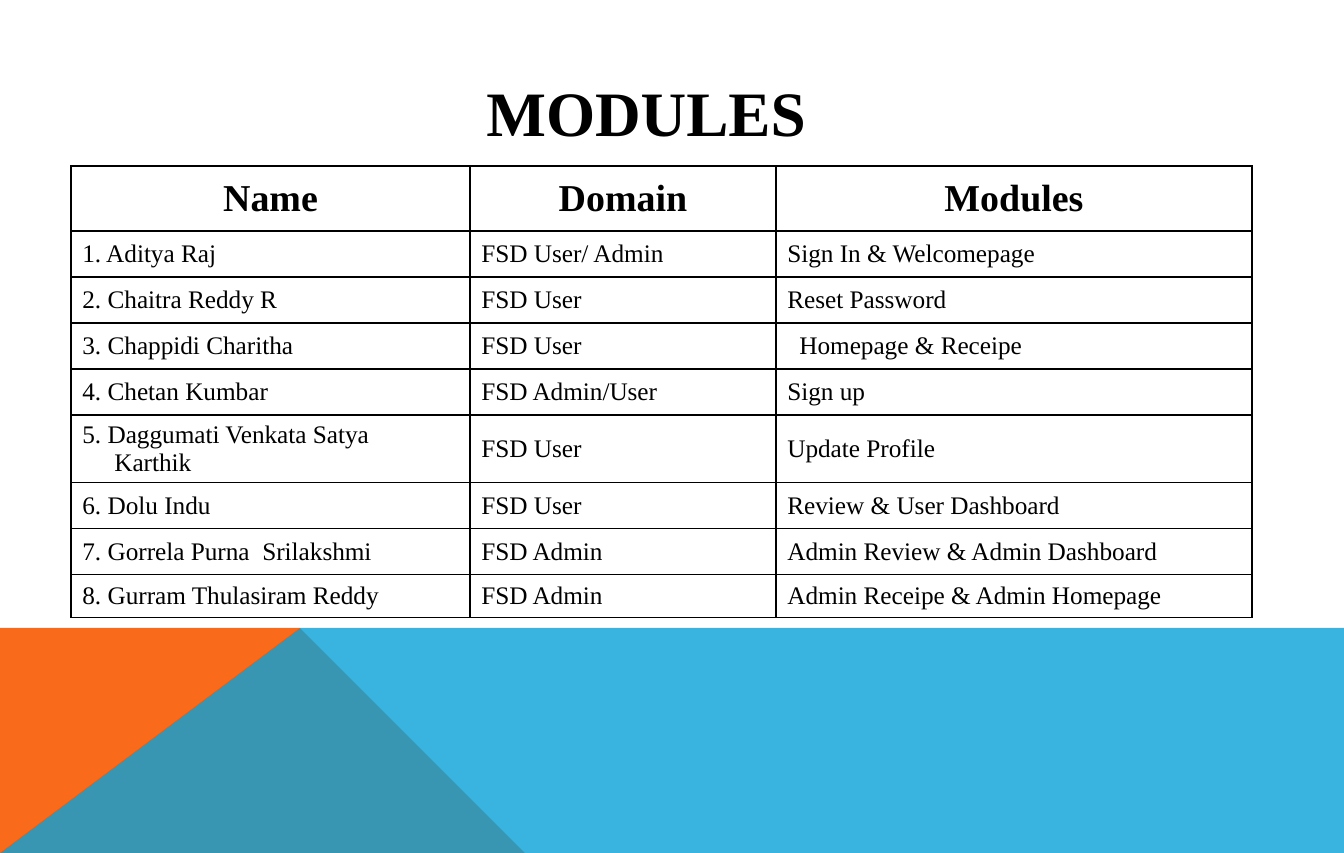
from pptx import Presentation
from pptx.dml.color import RGBColor
from pptx.enum.text import MSO_ANCHOR, MSO_AUTO_SIZE, PP_ALIGN
from pptx.oxml import parse_xml
from pptx.oxml.ns import nsdecls
from pptx.util import Emu, Pt

SCALE = 8035
HEADERS = ["Name", "Domain", "Modules"]
MEMBERS = [
    ("1. Aditya Raj", "FSD User/ Admin", "Sign In & Welcomepage"),
    ("2. Chaitra Reddy R", "FSD User", "Reset Password"),
    ("3. Chappidi Charitha", "FSD User", "Homepage & Receipe"),
    ("4. Chetan Kumbar", "FSD Admin/User", "Sign up"),
    ("5. Daggumati Venkata Satya\nKarthik", "FSD User", "Update Profile"),
    ("6. Dolu Indu", "FSD User", "Review & User Dashboard"),
    ("7. Gorrela Purna  Srilakshmi", "FSD Admin", "Admin Review & Admin Dashboard"),
    ("8. Gurram Thulasiram Reddy", "FSD Admin", "Admin Receipe & Admin Homepage"),
]
INDENTS = {"Karthik": 32, "Homepage & Receipe": 12}
COL_WIDTHS = [399, 306, 476]
ROW_HEIGHTS = [65, 46, 46, 46, 46, 68, 46, 46, 43]


def px(n):
    return Emu(n * SCALE)


def rgb(color):
    return RGBColor.from_string(color)


class Deck:
    font = "Times New Roman"
    ink = "000000"
    paper = "FFFFFF"

    def __init__(self, width, height):
        self.prs = Presentation()
        self.prs.slide_width, self.prs.slide_height = px(width), px(height)
        self.slide = self.prs.slides.add_slide(self.prs.slide_layouts[5])

    def run(self, p, text, size, bold=False):
        r = p.add_run()
        r.text = text
        r.font.name = self.font
        r.font.size = Pt(size)
        r.font.bold = bold
        r.font.color.rgb = rgb(self.ink)

    def title(self, text, x, y, w, h):
        sp = self.slide.shapes.title
        sp.left, sp.top, sp.width, sp.height = map(px, (x, y, w, h))
        tf = sp.text_frame
        tf.word_wrap = False
        tf.auto_size = MSO_AUTO_SIZE.NONE
        tf.vertical_anchor = MSO_ANCHOR.TOP
        p = tf.paragraphs[0]
        p.alignment = PP_ALIGN.LEFT
        self.run(p, text, 40, True)

    def polygon(self, points, color, alpha=100):
        builder = self.slide.shapes.build_freeform(*points[0], scale=SCALE)
        builder.add_line_segments(points[1:], close=True)
        sp = builder.convert_to_shape()
        sp.shadow.inherit = False
        sp.line.fill.background()
        sp.fill.solid()
        sp.fill.fore_color.rgb = rgb(color)
        if alpha < 100:
            clr = sp._element.spPr.xpath("./a:solidFill/a:srgbClr")[0]
            clr.append(parse_xml(f'<a:alpha {nsdecls("a")} val="{alpha * 1000}"/>'))

    def borders(self, cell, top, bottom):
        tcPr = cell._tc.get_or_add_tcPr()
        for side, width in (("L", 1), ("R", 1), ("T", top), ("B", bottom)):
            tcPr.append(parse_xml(
                f'<a:ln{side} {nsdecls("a")} w="{Pt(width)}"><a:solidFill>'
                f'<a:srgbClr val="{self.ink}"/></a:solidFill></a:ln{side}>'))

    def cell(self, cell, text, row):
        header = row == 0
        self.borders(cell, 2 if row == 1 else 1, 2 if header else 1)
        cell.fill.solid()
        cell.fill.fore_color.rgb = rgb(self.paper)
        cell.vertical_anchor = MSO_ANCHOR.MIDDLE
        tf = cell.text_frame
        for i, line in enumerate(text.split("\n")):
            p = tf.add_paragraph() if i else tf.paragraphs[0]
            p.alignment = PP_ALIGN.CENTER if header else PP_ALIGN.LEFT
            if line in INDENTS:
                p._p.get_or_add_pPr().set("marL", str(px(INDENTS[line])))
            self.run(p, line, 24 if header else 16, header)

    def table(self, rows, x, y, widths, heights):
        table = self.slide.shapes.add_table(
            len(rows), len(widths), px(x), px(y), px(sum(widths)), px(sum(heights))).table
        for col, width in zip(table.columns, widths):
            col.width = px(width)
        for row, height in zip(table.rows, heights):
            row.height = px(height)
        for i, texts in enumerate(rows):
            for j, text in enumerate(texts):
                self.cell(table.cell(i, j), text, i)


def main():
    deck = Deck(1344, 853)
    deck.polygon([(0, 853), (0, 628), (300, 628), (525, 853)], "F96A1B")
    deck.polygon([(0, 853), (300, 628), (1344, 628), (1344, 853)], "08A1D9", 80)
    deck.table([HEADERS, *MEMBERS], 71, 166, COL_WIDTHS, ROW_HEIGHTS)
    deck.title("MODULES", 475, 68, 346, 88)
    deck.prs.save("out.pptx")


if __name__ == "__main__":
    main()
